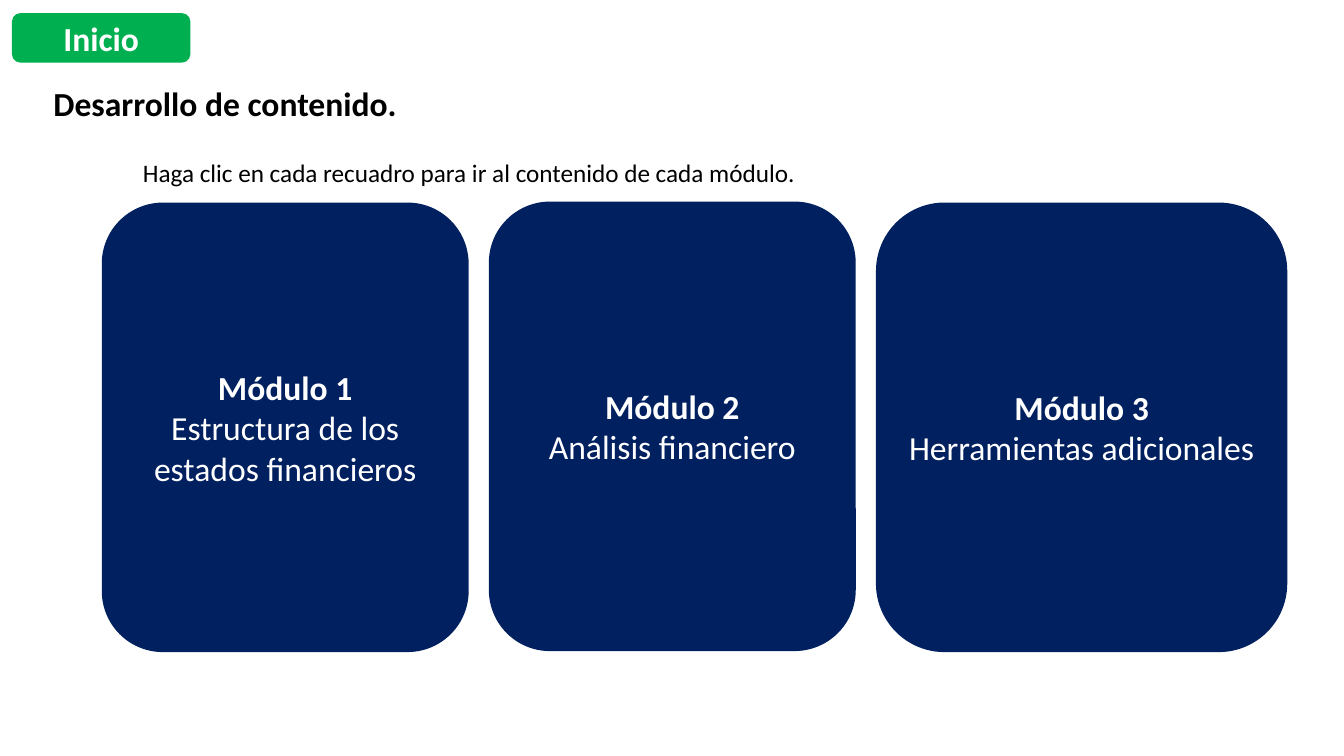
from pptx import Presentation
from pptx.dml.color import RGBColor
from pptx.enum import shapes, text
from pptx.util import Pt

COLORS = {"green": "00B050", "navy": "002060", "white": "FFFFFF", "black": "000000"}
FONT = "Calibri"

# Module title, description, top and width of each card
MODULES = [
    ("Módulo 1", "Estructura de los estados financieros", 144.7, 262.1),
    ("Módulo 2", "Análisis financiero", 144, 262.1),
    ("Módulo 3", "Herramientas adicionales", 144.7, 293.8),
]
CARDS_LEFT, CARD_HEIGHT, CARD_GAP = 72.7, 321.1, 14.4


def add_run(paragraph, wording, size, color, bold=False):
    run = paragraph.add_run()
    run.text = wording
    run.font.name = FONT
    run.font.size = Pt(size)
    run.font.bold = bold
    run.font.color.rgb = RGBColor.from_string(COLORS[color])


def add_rounded_box(slide, left, top, width, height, fill, lines):
    """Add a filled box with centred white lines, the first one bold."""
    shape = slide.shapes.add_shape(
        shapes.MSO_SHAPE.ROUNDED_RECTANGLE, Pt(left), Pt(top), Pt(width), Pt(height))
    shape.shadow.inherit = False
    shape.fill.solid()
    shape.fill.fore_color.rgb = RGBColor.from_string(COLORS[fill])
    shape.line.fill.background()
    frame = shape.text_frame
    frame.word_wrap = True
    frame.vertical_anchor = text.MSO_ANCHOR.MIDDLE
    for index, line in enumerate(lines):
        paragraph = frame.add_paragraph() if index else frame.paragraphs[0]
        paragraph.alignment = text.PP_ALIGN.CENTER
        add_run(paragraph, line, 24, "white", bold=index == 0)


def add_label(slide, left, top, width, height, wording, size, bold=False, spacing=1.0):
    shape = slide.shapes.add_textbox(Pt(left), Pt(top), Pt(width), Pt(height))
    shape.text_frame.word_wrap = True
    paragraph = shape.text_frame.paragraphs[0]
    paragraph.line_spacing = spacing
    add_run(paragraph, wording, size, "black", bold)


def main():
    presentation = Presentation()
    presentation.slide_width, presentation.slide_height = Pt(960), Pt(540)
    slide = presentation.slides.add_slide(presentation.slide_layouts[6])

    # Home button
    add_rounded_box(slide, 8.6, 9.4, 127.4, 35.3, "green", ["Inicio"])

    # Module cards, left to right
    left = CARDS_LEFT
    for title, description, top, width in MODULES:
        add_rounded_box(slide, left, top, width, CARD_HEIGHT, "navy", [title, description])
        left += width + CARD_GAP

    # Instruction and heading
    add_label(slide, 95, 108.7, 589.7, 29,
              "Haga clic en cada recuadro para ir al contenido de cada módulo.", 18)
    add_label(slide, 31, 59, 406, 29, "Desarrollo de contenido.", 24, bold=True, spacing=0.9)

    presentation.save("out.pptx")


if __name__ == "__main__":
    main()
